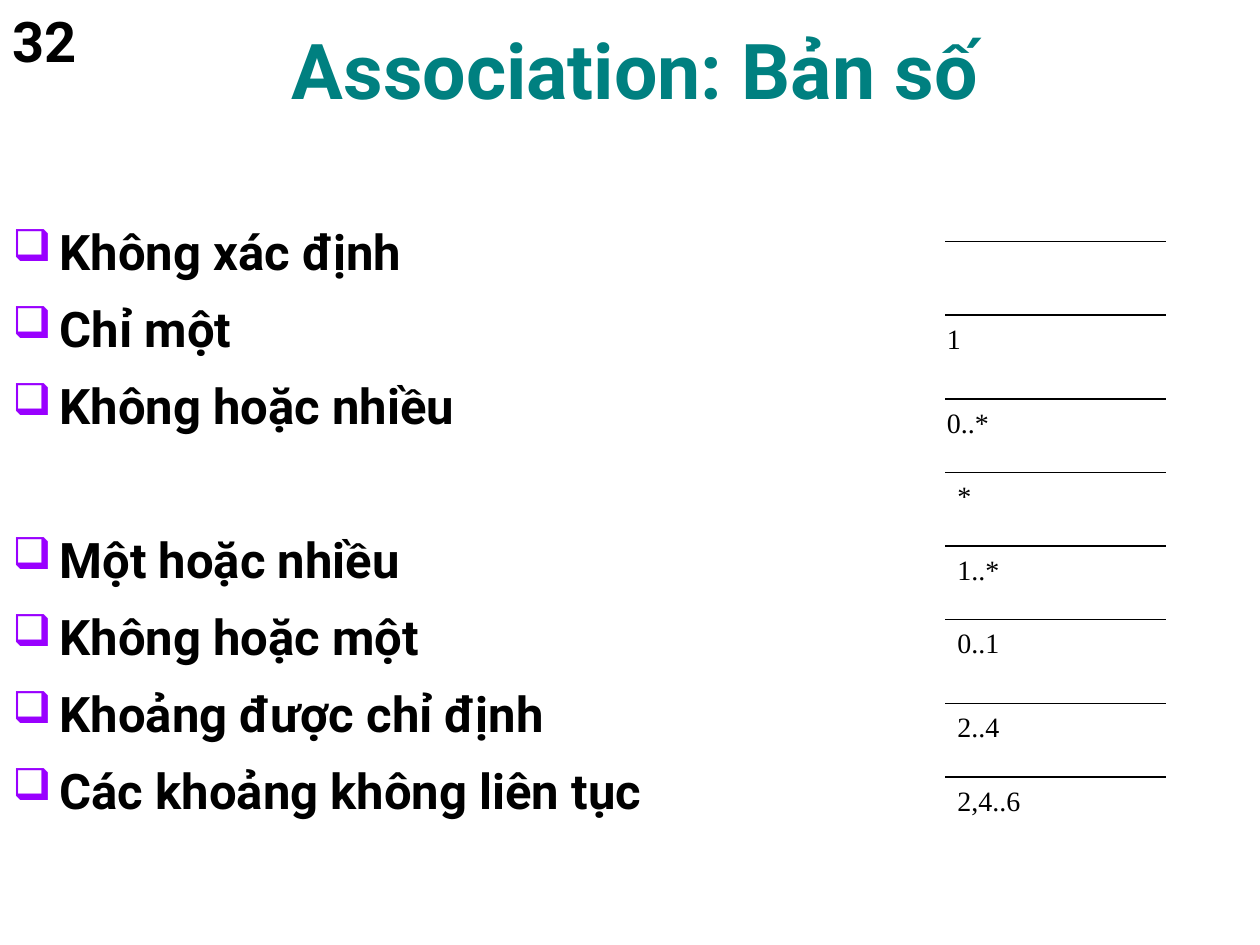
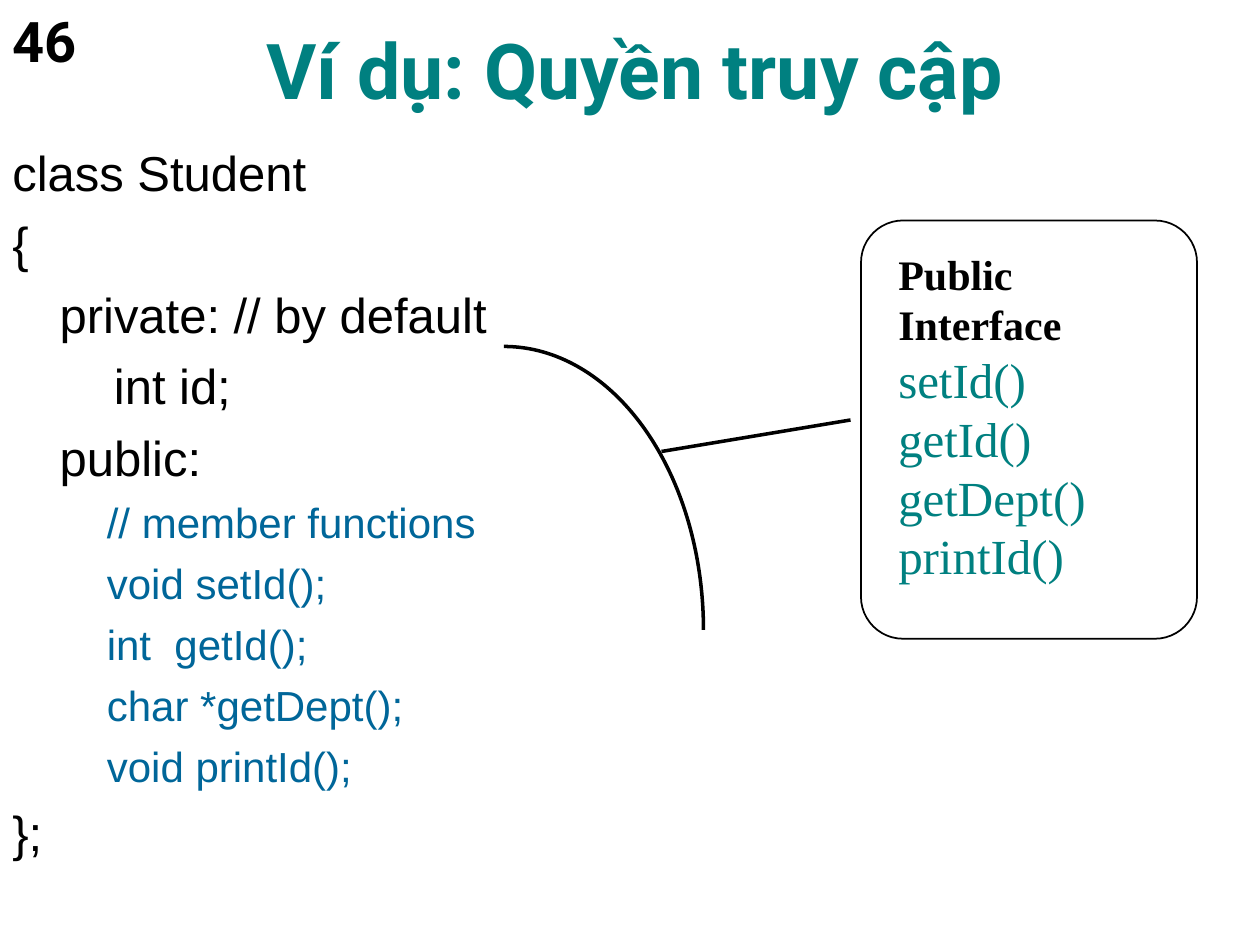
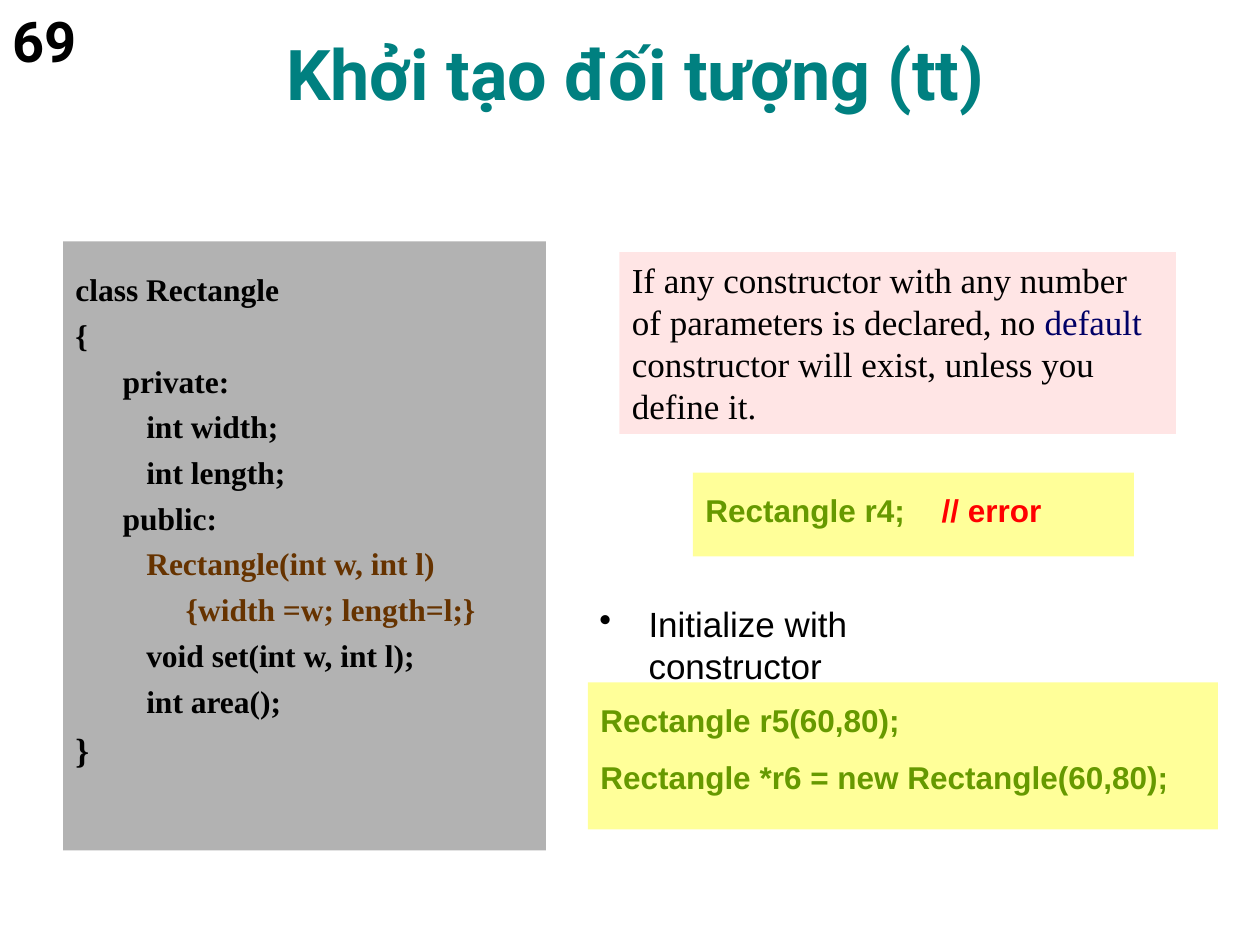
from lxml import etree
from pptx import Presentation
from pptx.dml.color import RGBColor
from pptx.enum import shapes, text
from pptx.oxml import ns
from pptx.util import Pt

BLACK, TEAL, PURPLE = "000000", "008080", "9900FF"
BLUE, NAVY, BROWN = "006699", "000066", "663300"
GREEN, RED = "669900", "FF0000"
GRAY, PINK, YELLOW = "B2B2B2", "FFE5E5", "FFFF99"
HEADING, SANS, SERIF = "Roboto", "Arial", "Times New Roman"
HANG = 27
CODE_TABS = (0, 72, 144)


def rgb(value):
    return RGBColor.from_string(value)


def add_child(parent, tag, **attributes):
    child = etree.SubElement(parent, ns.qn(tag))
    for name, value in attributes.items():
        child.set(name, str(value))
    return child


def set_margins(paragraph, left, first):
    properties = paragraph._p.get_or_add_pPr()
    properties.set("marL", str(Pt(left)))
    properties.set("indent", str(Pt(first)))


def add_bullet(paragraph, character, color, percent=100):
    properties = paragraph._p.get_or_add_pPr()
    add_child(add_child(properties, "a:buClr"), "a:srgbClr", val=color)
    add_child(properties, "a:buSzPct", val=percent * 1000)
    add_child(properties, "a:buChar", char=character)


def add_tabs(paragraph, positions):
    tabs = add_child(paragraph._p.get_or_add_pPr(), "a:tabLst")
    for position in positions:
        add_child(tabs, "a:tab", pos=Pt(position), algn="l")


def write(frame, content, size, font, color=BLACK, bold=False, before=0,
          spacing=None, hang=None, bullet=None, tabs=()):
    """Add a paragraph; content is a string or a list of (text, color) runs."""
    paragraph = frame.paragraphs[0]
    if paragraph.runs:
        paragraph = frame.add_paragraph()
        paragraph.space_before = Pt(before)
    if spacing:
        paragraph.line_spacing = spacing
    if hang:
        set_margins(paragraph, *hang)
    if bullet:
        add_bullet(paragraph, *bullet)
    if tabs:
        add_tabs(paragraph, tabs)
    paragraph.font.size = Pt(size)
    paragraph.font.name = font
    paragraph.font.bold = bold
    paragraph.font.color.rgb = rgb(color)
    paragraph.alignment = text.PP_ALIGN.LEFT
    if isinstance(content, str):
        content = [(content, color)]
    for words, run_color in content:
        run = paragraph.add_run()
        run.text = words
        if run_color != color:
            run.font.color.rgb = rgb(run_color)
    return paragraph


def write_code(frame, content, size, font, left=HANG, **style):
    write(frame, content, size, font, hang=(left, -HANG), tabs=CODE_TABS, **style)


def set_frame(shape, top=3.6, left=7.2, anchor=text.MSO_ANCHOR.TOP):
    frame = shape.text_frame
    frame.word_wrap = True
    frame.vertical_anchor = anchor
    frame.margin_top, frame.margin_left = Pt(top), Pt(left)
    return frame


def add_text(slide, left, top, width, height, **frame_style):
    box = slide.shapes.add_textbox(Pt(left), Pt(top), Pt(width), Pt(height))
    return set_frame(box, **frame_style)


def add_shape(slide, kind, left, top, width, height, fill=None, line=None):
    """Line is a width in points, drawn in black."""
    shape = slide.shapes.add_shape(kind, Pt(left), Pt(top), Pt(width), Pt(height))
    shape.shadow.inherit = False
    if fill:
        shape.fill.solid()
        shape.fill.fore_color.rgb = rgb(fill)
    else:
        shape.fill.background()
    if line:
        shape.line.color.rgb = rgb(BLACK)
        shape.line.width = Pt(line)
    else:
        shape.line.fill.background()
    return shape


def add_panel(slide, left, top, width, height, fill, inset=3.6):
    panel = add_shape(slide, shapes.MSO_SHAPE.RECTANGLE, left, top, width, height, fill)
    return set_frame(panel, top=inset)


def add_line(slide, x1, y1, x2, y2, width):
    line = slide.shapes.add_connector(
        shapes.MSO_CONNECTOR.STRAIGHT, Pt(x1), Pt(y1), Pt(x2), Pt(y2))
    line.line.color.rgb = rgb(BLACK)
    line.line.width = Pt(width)
    add_child(line._element.spPr, "a:effectLst")


def add_slide(presentation, number, title, title_size=44):
    slide = presentation.slides.add_slide(presentation.slide_layouts[6])
    frame = add_text(slide, 24, 12, 678, 57, anchor=text.MSO_ANCHOR.BOTTOM)
    heading = write(frame, title, title_size, HEADING, TEAL, bold=True)
    heading.alignment = text.PP_ALIGN.CENTER
    write(add_text(slide, 0, 0, 78, 51), number, 32, HEADING, bold=True)
    return slide


def build_multiplicity(presentation):
    slide = add_slide(presentation, "32", "Association: Bản số")
    body = add_text(slide, 0, 120, 720, 360)
    wide_gap = "Một hoặc nhiều"
    for item in ("Không xác định", "Chỉ một", "Không hoặc nhiều", wide_gap,
                 "Không hoặc một", "Khoảng được chỉ định",
                 "Các khoảng không liên tục"):
        write(body, item, 28, HEADING, bold=True, spacing=1.1,
              before=51 if item == wide_gap else 7,
              hang=(HANG, -HANG), bullet=("❑", PURPLE, 90))

    for top, label_left, label in (
            (138, None, None), (180, 534, "1"), (228, 534, "0..*"),
            (270, 540, "*"), (312, 540, "1..*"), (354, 540, "0..1"),
            (402, 540, "2..4"), (444, 540, "2,4..6")):
        add_line(slide, 540, top, 666, top, 0.75)
        if label:
            write(add_text(slide, label_left, top, 54, 27), label, 16, SERIF)


def build_access(presentation):
    slide = add_slide(presentation, "46", "Ví dụ: Quyền truy cập")
    code = add_text(slide, 0, 78, 476, 408)
    outer = dict(size=28, font=SANS, before=7, spacing=1.0)
    for line in ("class Student", "{", "\tprivate: // by default",
                 "\t    int id;", "\tpublic:"):
        write_code(code, line, **outer)
    for line in ("// member functions", "void setId();", "int  getId();",
                 "char *getDept();", "void printId();"):
        write_code(code, line, 24, SANS, left=81, color=BLUE, before=6, spacing=1.0)
    write_code(code, "};", **outer)

    interface = add_shape(slide, shapes.MSO_SHAPE.ROUNDED_RECTANGLE,
                          492, 126, 192, 239, line=1)
    interface.adjustments[0] = 0.125
    frame = set_frame(interface, top=9, left=14.3)
    write(frame, "Public Interface", 24, SERIF, bold=True)
    for function in ("setId()", "getId()", "getDept()", "printId()"):
        write(frame, function, 28, SERIF, TEAL)

    add_line(slide, 486, 240, 378, 258, 2)
    add_shape(slide, shapes.MSO_SHAPE.ARC, 174, 198, 228, 324, line=2)


def build_constructor(presentation):
    slide = add_slide(presentation, "69", "Khởi tạo đối tượng (tt)", 40)
    code = add_panel(slide, 36, 138, 276, 348, GRAY, inset=16.5)
    for line in ("class Rectangle", "{", "\tprivate:", "\t   int width;",
                 "\t   int length;", "\tpublic:",
                 [("\t   ", BLACK), ("Rectangle(int w, int l)", BROWN)],
                 [("\t\t{width =w; length=l;}", BROWN)],
                 "\t   void set(int w, int l);", "\t   int area();"):
        write_code(code, line, 18, SERIF, bold=True, before=4.5, spacing=1.0)
    write_code(code, "}", 20, SERIF, bold=True, before=5, spacing=1.0)

    rule = add_panel(slide, 354, 144, 318, 104, PINK)
    write(rule, [("If any constructor with any number of parameters is declared, no ", BLACK),
                 ("default", NAVY),
                 (" constructor will exist, unless you define it.", BLACK)], 20, SERIF)

    call = dict(size=18, font=SANS, color=GREEN, bold=True, spacing=0.8)
    error = add_panel(slide, 396, 270, 252, 48, YELLOW, inset=14.8)
    write_code(error, [("Rectangle r4;\t", GREEN), ("// error", RED)], **call)

    write(add_text(slide, 335.5, 341, 180, 56), "Initialize with constructor",
          20, SANS, hang=(28, -28), bullet=("•", BLACK))

    calls = add_panel(slide, 336, 390, 360, 84, YELLOW, inset=14.8)
    for line in ("Rectangle r5(60,80);", "Rectangle *r6 = new Rectangle(60,80);"):
        write_code(calls, line, before=15.3, **call)


def main():
    presentation = Presentation()
    presentation.slide_width, presentation.slide_height = Pt(720), Pt(540)
    build_multiplicity(presentation)
    build_access(presentation)
    build_constructor(presentation)
    presentation.save("out.pptx")


if __name__ == "__main__":
    main()
